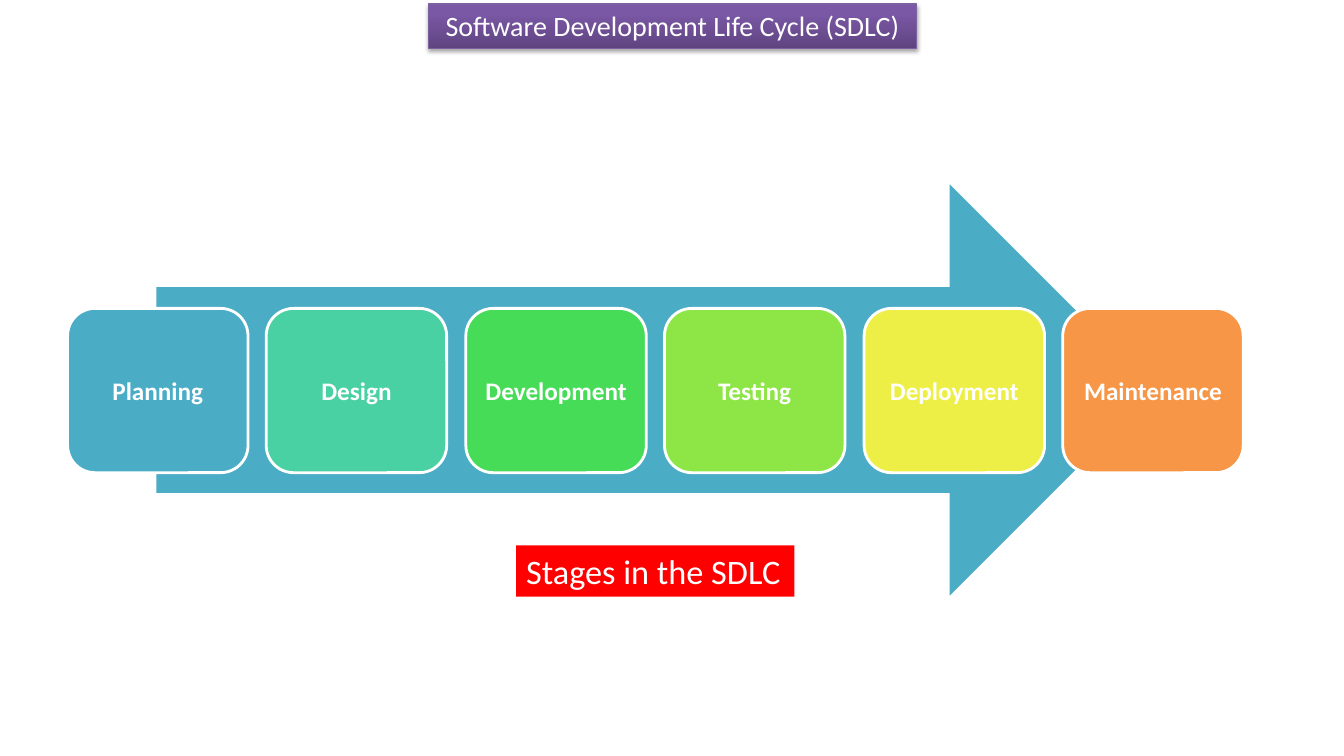
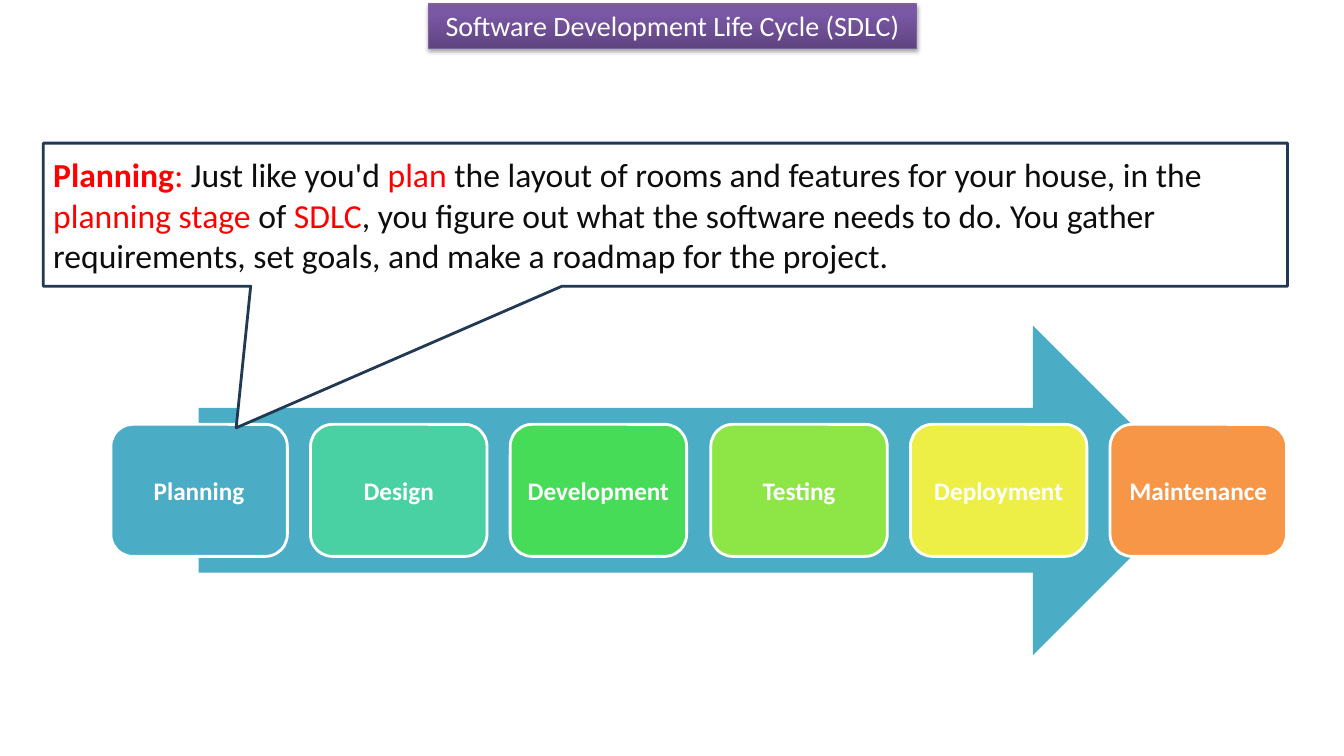
from dataclasses import dataclass

from lxml import etree
from pptx import Presentation
from pptx.dml.color import RGBColor
from pptx.enum.shapes import MSO_SHAPE
from pptx.enum.text import MSO_ANCHOR, MSO_AUTO_SIZE, PP_ALIGN
from pptx.oxml.ns import qn
from pptx.shapes.autoshape import Shape
from pptx.slide import Slide
from pptx.util import Emu, Pt

RECT = MSO_SHAPE.RECTANGLE
ROUND = MSO_SHAPE.ROUNDED_RECTANGLE
ARROW = MSO_SHAPE.RIGHT_ARROW
CALLOUT = MSO_SHAPE.RECTANGULAR_CALLOUT
LEFT, CENTER = PP_ALIGN.LEFT, PP_ALIGN.CENTER
TOP, MIDDLE = MSO_ANCHOR.TOP, MSO_ANCHOR.MIDDLE
GROW = MSO_AUTO_SIZE.SHAPE_TO_FIT_TEXT

SCALE = 9144  # EMU per px, 100 px to the inch
FONT = "Calibri"
WHITE = RGBColor(0xFF, 0xFF, 0xFF)
INK = RGBColor(0x0D, 0x0D, 0x0D)
RED = RGBColor(0xFF, 0x00, 0x00)
NAVY = RGBColor(0x23, 0x39, 0x53)
PURPLE = RGBColor(0x7D, 0x60, 0xA0)
TEAL = RGBColor(0x4B, 0xAC, 0xC6)
MINT = RGBColor(0x49, 0xD1, 0xA3)
GREEN = RGBColor(0x47, 0xDC, 0x57)
LIME = RGBColor(0x8D, 0xE6, 0x46)
YELLOW = RGBColor(0xEE, 0xEF, 0x46)
ORANGE = RGBColor(0xF7, 0x96, 0x46)
TITLE_STOPS = (
    (0, RGBColor(0x5F, 0x44, 0x80)),
    (80, RGBColor(0x7B, 0x58, 0xA6)),
    (100, RGBColor(0x7C, 0x57, 0xA8)),
)


@dataclass(frozen=True)
class Box:
    left: int
    top: int
    width: int
    height: int


@dataclass(frozen=True)
class Run:
    text: str
    color: RGBColor = WHITE
    bold: bool = False


@dataclass(frozen=True)
class Stage:
    name: str
    color: RGBColor


@dataclass(frozen=True)
class Flow:
    """Places of the arrow and of the first and last stage on it."""
    arrow: Box
    first: Box
    last: int


STAGES = (
    Stage("Planning", TEAL),
    Stage("Design", MINT),
    Stage("Development", GREEN),
    Stage("Testing", LIME),
    Stage("Deployment", YELLOW),
    Stage("Maintenance", ORANGE),
)
TITLE = Box(425, 4, 484, 44)
LABEL = Box(512, 541, 276, 51)
NOTE = Box(43, 142, 1234, 142)
NOTE_TIP = (-0.345, 1.489)
NOTE_RUNS = (
    Run("Planning", RED, True),
    Run(": ", RED),
    Run("Just like you'd ", INK),
    Run("plan", RED),
    Run(" the layout of rooms and features for your house, in the ", INK),
    Run("planning stage", RED),
    Run(" of ", INK),
    Run("SDLC", RED),
    Run(", you figure out what the software needs to do. You gather "
        "requirements, set goals, and make a roadmap for the project.", INK),
)
WIDE_FLOW = Flow(Box(155, 183, 991, 408), Box(67, 306, 179, 163), 1054)
LOW_FLOW = Flow(Box(197, 323, 991, 327), Box(110, 421, 175, 131), 1101)


def px(size: int) -> Emu:
    return Emu(size * SCALE)


def add_box(slide: Slide, kind: MSO_SHAPE, box: Box, fill: RGBColor,
            line: RGBColor | None = None, weight: float = 2) -> Shape:
    shape = slide.shapes.add_shape(
        kind, px(box.left), px(box.top), px(box.width), px(box.height))
    shape.shadow.inherit = False
    shape.fill.solid()
    shape.fill.fore_color.rgb = fill
    if line is None:
        shape.line.fill.background()
    else:
        shape.line.color.rgb = line
        shape.line.width = Pt(weight)
    return shape


def add_text(shape: Shape, runs: tuple[Run, ...], size: float,
             align: PP_ALIGN = CENTER, anchor: MSO_ANCHOR = MIDDLE) -> None:
    frame = shape.text_frame
    frame.word_wrap = True
    frame.vertical_anchor = anchor
    para = frame.paragraphs[0]
    para.alignment = align
    for item in runs:
        run = para.add_run()
        run.text = item.text
        run.font.name = FONT
        run.font.size = Pt(size)
        run.font.bold = item.bold
        run.font.color.rgb = item.color


def add_tint(parent: etree._Element, color: RGBColor) -> etree._Element:
    return etree.SubElement(parent, qn("a:srgbClr"), val=str(color))


def add_title(slide: Slide) -> None:
    shape = add_box(slide, RECT, TITLE, PURPLE, PURPLE, 0.75)
    shape.fill.gradient()
    shape.fill.gradient_angle = 90
    props = shape._element.spPr
    stops = props.find(".//" + qn("a:gsLst"))
    for old in list(stops):
        stops.remove(old)
    for place, color in TITLE_STOPS:
        add_tint(etree.SubElement(stops, qn("a:gs"), pos=str(place * 1000)), color)
    shade = etree.SubElement(
        props.find(qn("a:effectLst")), qn("a:outerShdw"),
        blurRad=str(Pt(3.1)), dist=str(Pt(1.8)), dir="5400000", rotWithShape="0")
    etree.SubElement(add_tint(shade, RGBColor(0, 0, 0)), qn("a:alpha"), val="35000")
    add_text(shape, (Run("Software Development Life Cycle (SDLC)"),), 20, anchor=TOP)
    shape.text_frame.auto_size = GROW


def add_flow(slide: Slide, flow: Flow) -> None:
    add_box(slide, ARROW, flow.arrow, TEAL)
    first = flow.first
    step = (flow.last - first.left) / (len(STAGES) - 1)
    for index, stage in enumerate(STAGES):
        left = first.left + round(index * step)
        box = Box(left, first.top, first.width, first.height)
        shape = add_box(slide, ROUND, box, stage.color, WHITE)
        frame = shape.text_frame
        frame.margin_left = frame.margin_right = px(7)
        frame.margin_top = frame.margin_bottom = px(7)
        add_text(shape, (Run(stage.name, bold=True),), 18)


def add_label(slide: Slide) -> None:
    shape = add_box(slide, RECT, LABEL, RED)
    add_text(shape, (Run("Stages in the SDLC"),), 24.5, LEFT, TOP)
    shape.text_frame.word_wrap = False
    shape.text_frame.auto_size = GROW


def add_note(slide: Slide) -> None:
    shape = add_box(slide, CALLOUT, NOTE, WHITE, NAVY)
    for index, value in enumerate(NOTE_TIP):
        shape.adjustments[index] = value
    add_text(shape, NOTE_RUNS, 24, LEFT)


def main() -> None:
    deck = Presentation()
    deck.slide_width, deck.slide_height = px(1333), px(750)
    blank = deck.slide_layouts[6]
    for flow, extra in ((WIDE_FLOW, add_label), (LOW_FLOW, add_note)):
        slide = deck.slides.add_slide(blank)
        add_title(slide)
        add_flow(slide, flow)
        extra(slide)
    deck.save("out.pptx")


if __name__ == "__main__":
    main()
